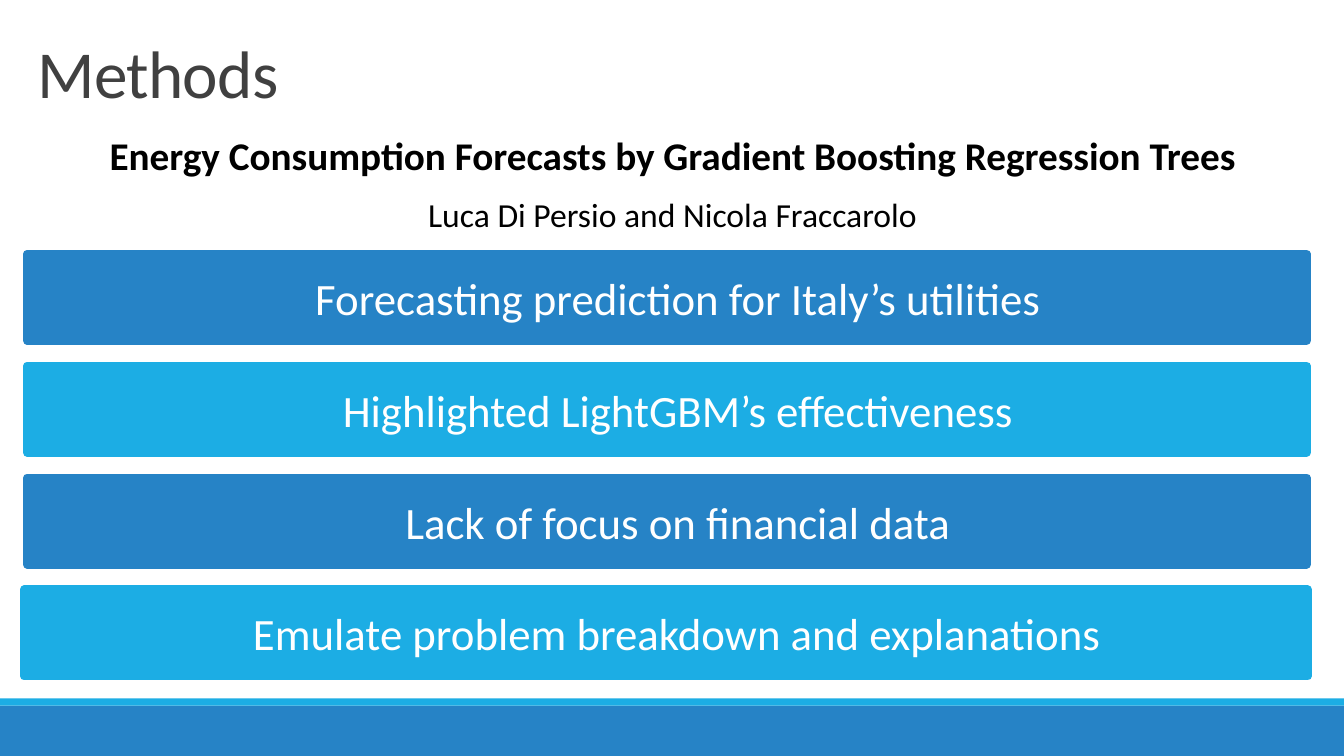
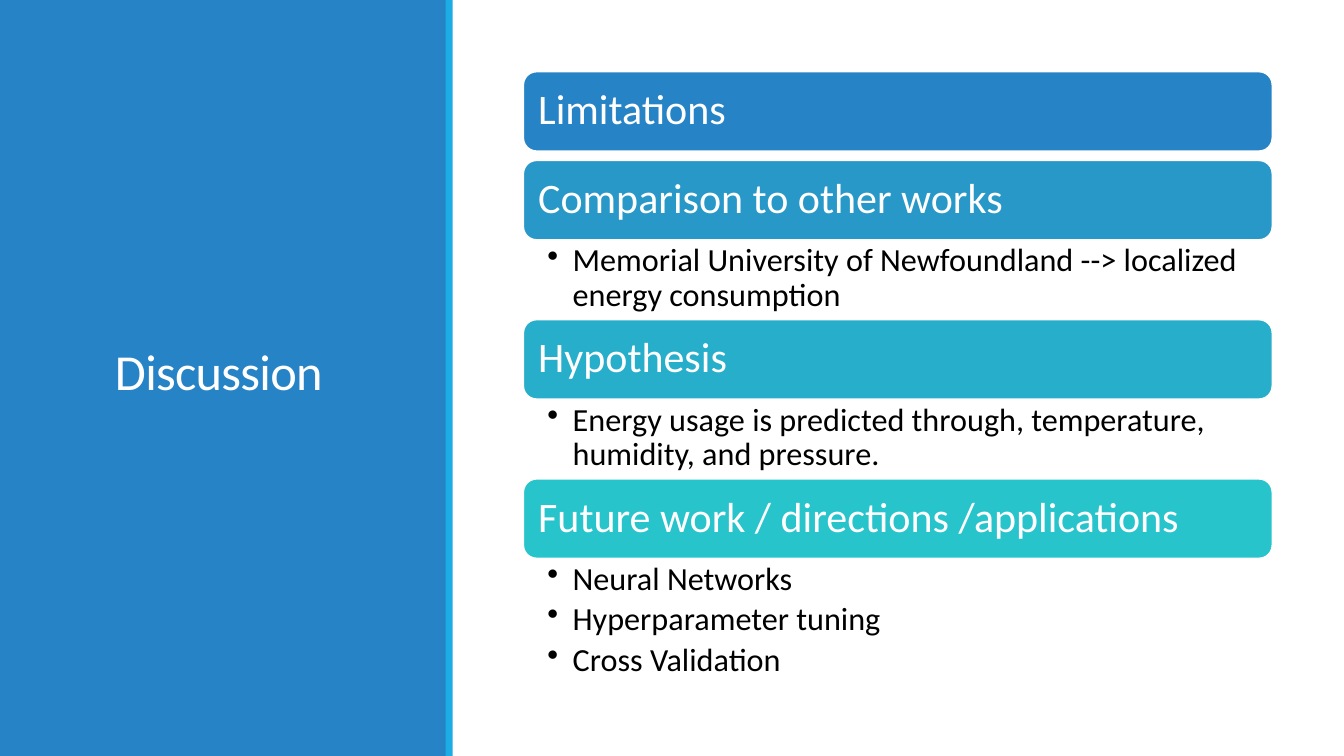
from lxml import etree
from pptx import Presentation
from pptx.dml.color import RGBColor
from pptx.enum.shapes import MSO_SHAPE
from pptx.enum.text import MSO_ANCHOR, MSO_AUTO_SIZE, PP_ALIGN
from pptx.oxml.ns import qn
from pptx.util import Inches, Pt

RECTANGLE = MSO_SHAPE.RECTANGLE
ROUNDED = MSO_SHAPE.ROUNDED_RECTANGLE
MIDDLE = MSO_ANCHOR.MIDDLE
BOTTOM = MSO_ANCHOR.BOTTOM
LEFT = PP_ALIGN.LEFT
CENTER = PP_ALIGN.CENTER

FONT = "Calibri"
BLUE = RGBColor(0x26, 0x83, 0xC6)
SKY = RGBColor(0x1C, 0xAD, 0xE4)
STEEL = RGBColor(0x27, 0x98, 0xC8)
LAGOON = RGBColor(0x27, 0xAE, 0xCA)
TURQUOISE = RGBColor(0x28, 0xC4, 0xCC)
WHITE = RGBColor(0xFF, 0xFF, 0xFF)
BLACK = RGBColor(0, 0, 0)
CHARCOAL = RGBColor(0x40, 0x40, 0x40)


def add_block(page, kind, area, fill, line=None, line_width=0):
    block = page.shapes.add_shape(kind, *map(Inches, area))
    block.shadow.inherit = False
    block.fill.solid()
    block.fill.fore_color.rgb = fill
    if line is None:
        block.line.fill.background()
    else:
        block.line.color.rgb = line
        block.line.width = Pt(line_width)
    return block


def write(box, text, size, color, align=LEFT, spacing=None):
    paragraph = box.text_frame.paragraphs[-1]
    if paragraph.runs:
        paragraph = box.text_frame.add_paragraph()
    paragraph.add_run().text = text
    paragraph.alignment = align
    paragraph.line_spacing = spacing
    paragraph.font.name = FONT
    paragraph.font.size = Pt(size)
    paragraph.font.color.rgb = color
    return paragraph


deck = Presentation()
deck.slide_width = Inches(13.33)
deck.slide_height = Inches(7.5)
title_only = deck.slide_layouts[5]
methods = deck.slides.add_slide(title_only)
discussion = deck.slides.add_slide(title_only)

add_block(methods, RECTANGLE, (0, 7, 13.33, 0.5), BLUE)
add_block(methods, RECTANGLE, (0, 6.93, 13.33, 0.07), SKY)
add_block(discussion, RECTANGLE, (0, 0, 4.43, 7.5), BLUE)
add_block(discussion, RECTANGLE, (4.42, 0, 0.07, 7.5), SKY)

titles = [
    (methods, "Methods", (0.27, 0.11, 9.33, 1.05), 48, CHARCOAL, BOTTOM),
    (discussion, "Discussion", (1.04, 0.57, 3.37, 6.31), 36, WHITE, MIDDLE),
]
for page, text, area, size, color, anchor in titles:
    title = page.shapes.title
    page.shapes._spTree.append(title._element)
    title.left, title.top, title.width, title.height = map(Inches, area)
    title.text_frame.auto_size = MSO_AUTO_SIZE.NONE
    title.text_frame.vertical_anchor = anchor
    paragraph = write(title, text, size, color, spacing=0.85)
    paragraph.runs[0]._r.get_or_add_rPr().set("spc", "-50")

citation = methods.shapes.add_textbox(Inches(0.85), Inches(1.31), Inches(11.64), Inches(1.1))
citation.text_frame.word_wrap = True
citation.text_frame.margin_left = citation.text_frame.margin_right = 0
for text, size, bold in [
    ("Energy Consumption Forecasts by Gradient Boosting Regression Trees", 28, True),
    ("Luca Di Persio and Nicola Fraccarolo", 24, False),
]:
    paragraph = write(citation, text, size, BLACK, CENTER, 0.9)
    paragraph.font.bold = bold
    paragraph.space_before = Pt(12)
    paragraph.space_after = Pt(2)

findings = [
    ("Forecasting prediction for Italy’s utilities", BLUE, 0.27, 12.69),
    ("Highlighted LightGBM’s effectiveness", SKY, 0.27, 12.69),
    ("Lack of focus on financial data", BLUE, 0.27, 12.69),
    ("Emulate problem breakdown and explanations", SKY, 0.24, 12.73),
]
for row, (text, color, left, width) in enumerate(findings):
    bar = add_block(methods, RECTANGLE, (left, 2.52 + 1.11 * row, width, 0.86), color, color, 6)
    bar.text_frame.vertical_anchor = MIDDLE
    paragraph = write(bar, text, 32, WHITE, CENTER)
    properties = paragraph._p.get_or_add_pPr()
    properties.set("marL", str(Inches(0.53)))
    properties.set("indent", str(Inches(-0.31)))

LIST_LEFT, LIST_WIDTH = 5.19, 7.43
HEADING_HEIGHT, HEADING_GAP = 0.79, 0.09
topics = [
    ("Limitations", BLUE, [], 0),
    ("Comparison to other works", STEEL,
     ["Memorial University of Newfoundland --> localized energy consumption"], 0.79),
    ("Hypothesis", LAGOON,
     ["Energy usage is predicted through, temperature, humidity, and pressure."], 0.79),
    ("Future work / directions /applications", TURQUOISE,
     ["Neural Networks", "Hyperparameter tuning", "Cross Validation"], 1.32),
]
top = 0.71
for text, color, details, details_height in topics:
    area = (LIST_LEFT, top, LIST_WIDTH, HEADING_HEIGHT)
    heading = add_block(discussion, ROUNDED, area, color, WHITE, 1.25)
    heading.text_frame.word_wrap = True
    heading.text_frame.vertical_anchor = MIDDLE
    heading.text_frame.margin_left = heading.text_frame.margin_right = Inches(0.11)
    write(heading, text, 30, WHITE, spacing=0.9)
    top += HEADING_HEIGHT
    if not details:
        top += HEADING_GAP
        continue
    box = discussion.shapes.add_textbox(
        Inches(LIST_LEFT), Inches(top), Inches(LIST_WIDTH), Inches(details_height))
    frame = box.text_frame
    frame.word_wrap = True
    frame.margin_left, frame.margin_right = Inches(0.24), Inches(0.23)
    frame.margin_top = frame.margin_bottom = Inches(0.04)
    for detail in details:
        paragraph = write(box, detail, 23, BLACK, spacing=0.9)
        paragraph.space_after = Pt(4)
        properties = paragraph._p.get_or_add_pPr()
        properties.set("marL", str(Inches(0.25)))
        properties.set("indent", str(Inches(-0.25)))
        bullet = etree.Element(qn("a:buChar"), char="•")
        properties.find(qn("a:defRPr")).addprevious(bullet)
    top += details_height

deck.save("out.pptx")
